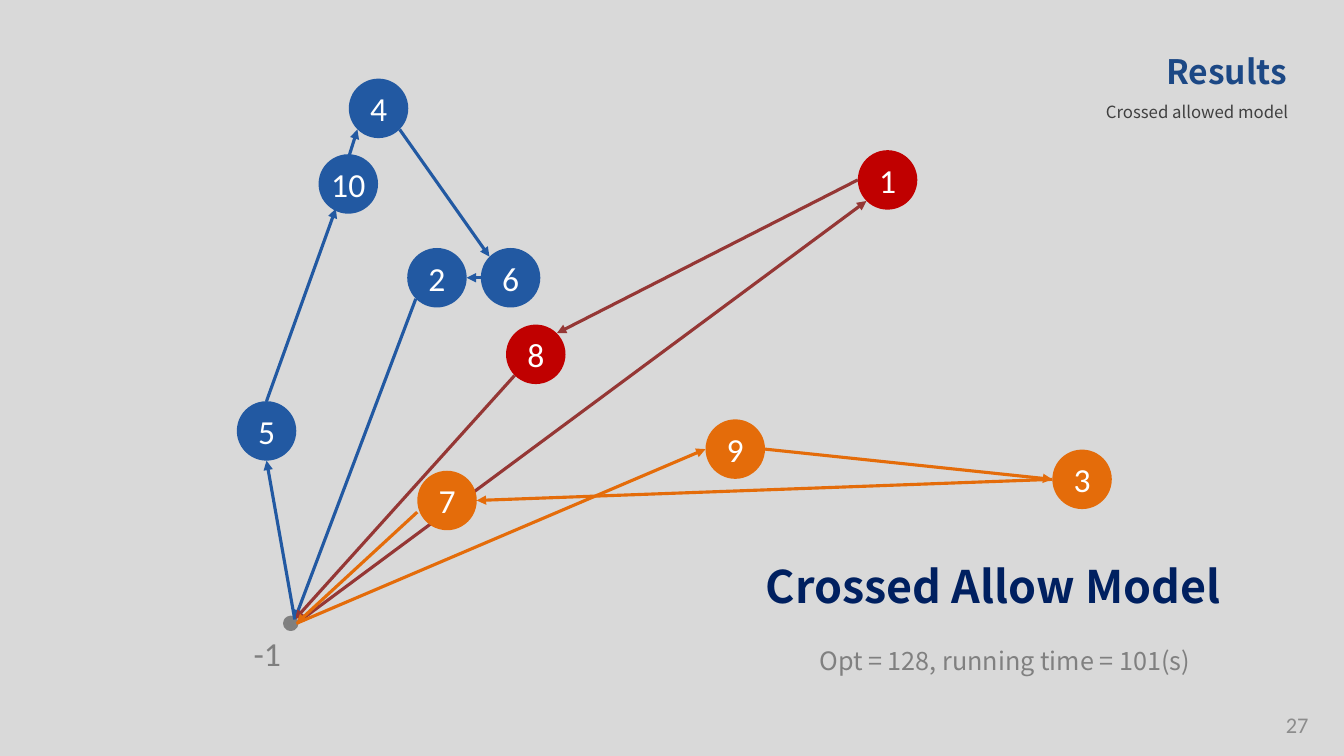
from pptx import Presentation
from pptx.dml.color import RGBColor
from pptx.enum.shapes import MSO_CONNECTOR, MSO_SHAPE
from pptx.enum.text import MSO_ANCHOR, PP_ALIGN
from pptx.oxml.ns import qn
from pptx.util import Pt
from lxml import etree

STRAIGHT = MSO_CONNECTOR.STRAIGHT
OVAL = MSO_SHAPE.OVAL
TOP, MIDDLE = MSO_ANCHOR.TOP, MSO_ANCHOR.MIDDLE
LEFT, CENTER, RIGHT = PP_ALIGN.LEFT, PP_ALIGN.CENTER, PP_ALIGN.RIGHT

BODY_FONT = "Calibri"
TITLE_FONT = "Noto Sans CJK SC"
COLORS = {
    "background": "D9D9D9", "blue": "2259A2", "red": "C00000",
    "dark red": "953735", "orange": "E46C0A", "white": "FFFFFF",
    "depot": "7F7F7F", "depot line": "808080", "title": "1C4885",
    "subtitle": "404040", "headline": "002060", "number": "8C8C8C",
}

RADIUS = 21.25
DEPOT_RADIUS = 4
DEPOT = "-1"
NODES = {
    "1": (634, 128.5, "red"),
    "2": (312.1, 198.4, "blue"),
    "6": (364.7, 198.4, "blue"),
    "3": (772.9, 342.4, "orange"),
    "9": (525.2, 320.8, "orange"),
    "8": (382.7, 253.1, "red"),
    "7": (319.3, 357.5, "orange"),
    "4": (270.4, 77.4, "blue"),
    "10": (248.8, 131.4, "blue"),
    "5": (190.4, 307.8, "blue"),
    DEPOT: (207.7, 445.3, "depot"),
}

DIAGONAL = 0.71
SITES = {
    "top": (0, -1), "left": (-1, 0), "bottom": (0, 1), "right": (1, 0),
    "top left": (-DIAGONAL, -DIAGONAL), "top right": (DIAGONAL, -DIAGONAL),
    "bottom left": (-DIAGONAL, DIAGONAL), "bottom right": (DIAGONAL, DIAGONAL),
    "label top": (0, -0.86), "label bottom": (-0.42, 0.83),
    "lower left": (-1, 0.39),
}
FIRST_LEG = (DEPOT, "right", "1", "bottom left", "dark red")
LEGS = [
    ("5", "top", "10", "label bottom", "blue"),
    ("10", "label top", "4", "bottom left", "blue"),
    ("4", "bottom right", "6", "top left", "blue"),
    ("2", "bottom left", DEPOT, "top right", "blue"),
    ("6", "left", "2", "right", "blue"),
    ("1", "left", "8", "top right", "dark red"),
    ("8", "bottom left", DEPOT, "top right", "dark red"),
    ("7", "lower left", DEPOT, "right", "orange"),
    ("3", "left", "7", "right", "orange"),
    ("9", "right", "3", "left", "orange"),
    (DEPOT, "right", "9", "left", "orange"),
    (DEPOT, "top right", "5", "bottom", "blue"),
]


def color(name):
    return RGBColor.from_string(COLORS[name])


def write(frame, text, size, shade, font, align=LEFT, bold=False, spacing=None):
    para = frame.paragraphs[0]
    para.alignment = align
    if spacing:
        para.line_spacing = spacing
    span = para.add_run()
    span.text = text
    span.font.name = font
    span.font.size = Pt(size)
    span.font.bold = bold
    span.font.color.rgb = color(shade)


def add_label(page, area, text, size, shade, font=TITLE_FONT, wrap=True,
              anchor=TOP, **style):
    box = page.shapes.add_textbox(*map(Pt, area))
    box.text_frame.word_wrap = wrap
    box.text_frame.vertical_anchor = anchor
    write(box.text_frame, text, size, shade, font, **style)


def add_circle(page, x, y, radius, shade):
    circle = page.shapes.add_shape(
        OVAL, Pt(x - radius), Pt(y - radius), Pt(2 * radius), Pt(2 * radius))
    circle.shadow.inherit = False
    circle.fill.solid()
    circle.fill.fore_color.rgb = color(shade)
    circle.line.fill.background()
    return circle


def add_node(page, name):
    x, y, shade = NODES[name]
    frame = add_circle(page, x, y, RADIUS, shade).text_frame
    frame.word_wrap = False
    frame.vertical_anchor = MIDDLE
    frame.margin_left = frame.margin_right = Pt(0)
    write(frame, name, 24, "white", BODY_FONT, CENTER)


def add_depot(page):
    x, y, shade = NODES[DEPOT]
    dot = add_circle(page, x, y, DEPOT_RADIUS, shade)
    dot.line.color.rgb = color("depot line")
    dot.line.width = Pt(3)
    add_label(page, (173.5, 448.6, 34.6, 36), DEPOT, 24, shade,
              font=BODY_FONT, wrap=False, align=CENTER)


def site_point(name, site):
    x, y, _ = NODES[name]
    radius = DEPOT_RADIUS if name == DEPOT else RADIUS
    across, down = SITES[site]
    return Pt(x + across * radius), Pt(y + down * radius)


def add_leg(page, start, start_site, end, end_site, shade):
    arrow = page.shapes.add_connector(
        STRAIGHT, *site_point(start, start_site), *site_point(end, end_site))
    arrow.line.color.rgb = color(shade)
    arrow.line.width = Pt(2.25)
    etree.SubElement(arrow.line._get_or_add_ln(), qn("a:tailEnd"), type="triangle")
    etree.SubElement(arrow._element.spPr, qn("a:effectLst"))


def main():
    deck = Presentation()
    deck.slide_width, deck.slide_height = Pt(960), Pt(540)
    page = deck.slides.add_slide(deck.slide_layouts[6])
    page.background.fill.solid()
    page.background.fill.fore_color.rgb = color("background")

    add_label(page, (725.8, 503.3, 216, 28.8), "27", 16, "number",
              font=BODY_FONT, anchor=MIDDLE, align=RIGHT)
    add_leg(page, *FIRST_LEG)
    for name in NODES:
        if name != DEPOT:
            add_node(page, name)
    add_depot(page)
    for leg in LEGS:
        add_leg(page, *leg)

    add_label(page, (663.8, 33.1, 262.8, 36), "Results", 24, "title",
              align=RIGHT, bold=True)
    add_label(page, (511.2, 61.9, 416.2, 26.6), "Crossed allowed model", 12,
              "subtitle", align=RIGHT, spacing=1.5)
    add_label(page, (540, 395.3, 363.6, 46.1), "Crossed Allow Model", 32,
              "headline", bold=True)
    add_label(page, (578.2, 444.2, 303.1, 42.5),
              "Opt = 128, running time = 101(s)", 18, "depot line", spacing=1.6)
    deck.save("out.pptx")


if __name__ == "__main__":
    main()
